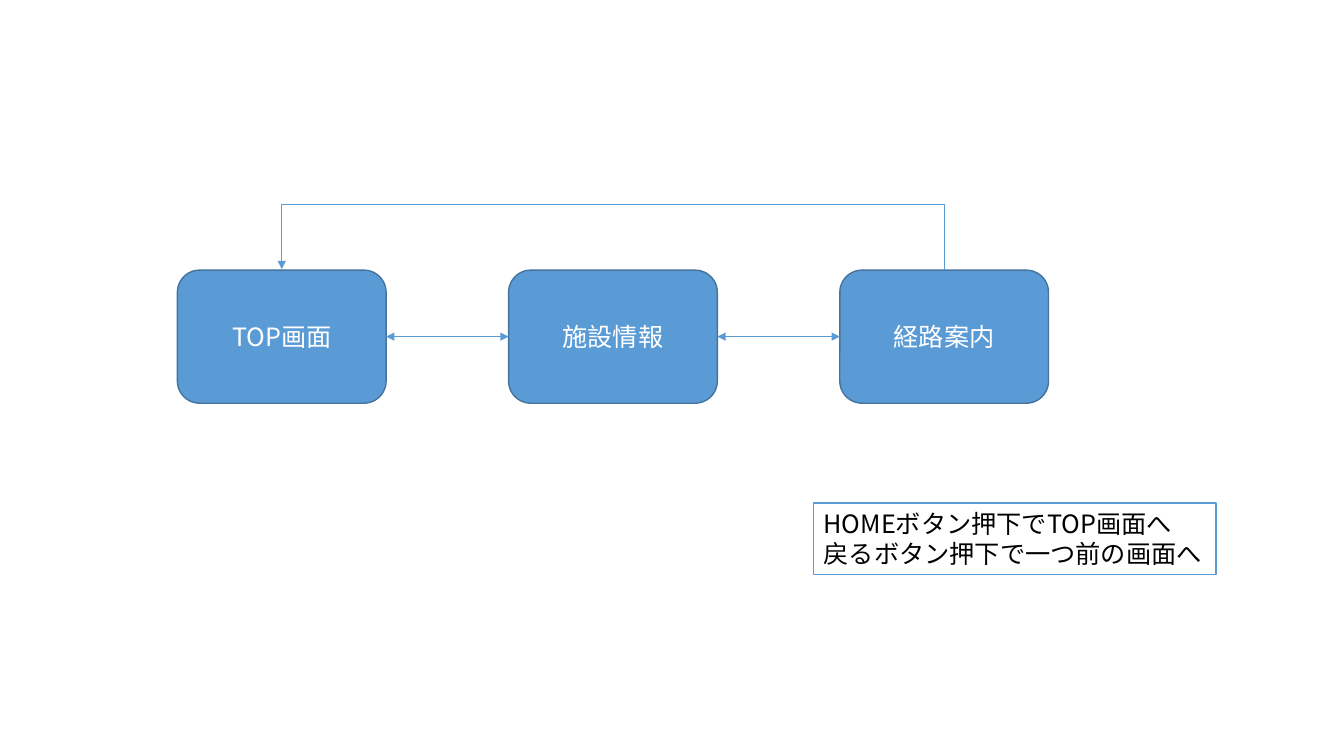
"""Build a screen transition diagram with three screens and a note."""
import pptx
import pptx.dml.color
import pptx.enum.dml
import pptx.enum.shapes
import pptx.enum.text
import pptx.oxml
import pptx.oxml.ns
import pptx.util

SCREENS = ["TOP画面", "施設情報", "経路案内"]
NOTE = ["HOMEボタン押下でTOP画面へ", "戻るボタン押下で一つ前の画面へ"]
COLORS = {"blue": "5B9BD5", "edge": "43739E", "white": "FFFFFF", "black": "000000"}
FONT = "Noto Sans CJK JP"

FIRST_LEFT, LAST_LEFT, BOX_TOP = 1.76, 8.33, 2.68
BOX_WIDTH, BOX_HEIGHT = 2.07, 1.32
NOTE_AREA = (8.07, 4.99, 3.99, 0.71)
RETURN_TOP, RETURN_DEPTH = 2.02, 0.01
TOP_SITE, LEFT_SITE, RIGHT_SITE = 0, 1, 3

Inches = pptx.util.Inches
SHAPES = pptx.enum.shapes.MSO_SHAPE
CONNECTORS = pptx.enum.shapes.MSO_CONNECTOR
ALIGN = pptx.enum.text.PP_ALIGN
ANCHOR = pptx.enum.text.MSO_ANCHOR


def color(name):
    """Return the named colour."""
    return pptx.dml.color.RGBColor.from_string(COLORS[name])


def write(box, lines, ink, align, anchor, wrap=True):
    """Write lines into one paragraph of a box."""
    frame = box.text_frame
    frame.word_wrap = wrap
    frame.vertical_anchor = anchor
    para = frame.paragraphs[0]
    para.alignment = align
    for index, line in enumerate(lines):
        if index:
            para.add_line_break()
        span = para.add_run()
        span.text = line
        span.font.size = pptx.util.Pt(18)
        span.font.name = FONT
        span.font.color.rgb = color(ink)
        east_asian = pptx.oxml.parse_xml(
            f'<a:ea {pptx.oxml.ns.nsdecls("a")} typeface="{FONT}"/>')
        span.font._element.find(pptx.oxml.ns.qn("a:latin")).addnext(east_asian)


def add_box(page, preset, area, fill, edge):
    """Add a filled and outlined shape."""
    box = page.shapes.add_shape(preset, *map(Inches, area))
    box.shadow.inherit = False
    box.fill.solid()
    box.fill.fore_color.rgb = color(fill)
    box.line.color.rgb = color(edge)
    box.line.width = pptx.util.Pt(1)
    return box


def add_arrow(page, kind, start, start_site, end, end_site, ends):
    """Join two boxes with a thin arrow."""
    arrow = page.shapes.add_connector(kind, 0, 0, 0, 0)
    arrow.begin_connect(start, start_site)
    arrow.end_connect(end, end_site)
    arrow.line.color.rgb = color("blue")
    arrow.line.width = pptx.util.Pt(0.5)
    namespace = pptx.oxml.ns.nsdecls("a")
    line = arrow.line._get_or_add_ln()
    for end_name in ends:
        line.append(pptx.oxml.parse_xml(f'<a:{end_name} {namespace} type="triangle"/>'))
    arrow._element.spPr.append(pptx.oxml.parse_xml(f"<a:effectLst {namespace}/>"))
    return arrow


def route_over(arrow, start_x, end_x):
    """Turn an elbow arrow so that it runs above the boxes."""
    span = start_x - end_x
    middle = (start_x + end_x) / 2
    arrow.width, arrow.height = Inches(RETURN_DEPTH), Inches(span)
    arrow.left = Inches(middle - RETURN_DEPTH / 2)
    arrow.top = Inches(BOX_TOP - RETURN_DEPTH / 2 - span / 2)
    frame = arrow._element.spPr.find(pptx.oxml.ns.qn("a:xfrm"))
    frame.attrib.pop("flipH", None)
    frame.set("rot", str(270 * 60000))
    frame.set("flipV", "1")
    bend = round((BOX_TOP - RETURN_TOP) / RETURN_DEPTH * 100000)
    geometry = arrow._element.spPr.find(pptx.oxml.ns.qn("a:prstGeom"))
    for old in list(geometry):
        geometry.remove(old)
    geometry.append(pptx.oxml.parse_xml(
        f'<a:avLst {pptx.oxml.ns.nsdecls("a")}><a:gd name="adj1" fmla="val {bend}"/></a:avLst>'))


def main():
    """Build and save the deck."""
    deck = pptx.Presentation()
    deck.slide_width, deck.slide_height = Inches(13.33), Inches(7.5)
    page = deck.slides.add_slide(deck.slide_layouts[6])

    note = add_box(page, SHAPES.RECTANGLE, NOTE_AREA, "white", "blue")
    write(note, NOTE, "black", ALIGN.LEFT, ANCHOR.TOP, wrap=False)

    pitch = (LAST_LEFT - FIRST_LEFT) / (len(SCREENS) - 1)
    boxes = []
    for index, name in enumerate(SCREENS):
        area = (FIRST_LEFT + index * pitch, BOX_TOP, BOX_WIDTH, BOX_HEIGHT)
        box = add_box(page, SHAPES.FLOWCHART_ALTERNATE_PROCESS, area, "blue", "edge")
        write(box, [name], "white", ALIGN.CENTER, ANCHOR.MIDDLE)
        boxes.append(box)

    for left_box, right_box in zip(boxes, boxes[1:]):
        add_arrow(page, CONNECTORS.STRAIGHT, left_box, RIGHT_SITE,
                  right_box, LEFT_SITE, ["headEnd", "tailEnd"])
    back = add_arrow(page, CONNECTORS.ELBOW, boxes[-1], TOP_SITE,
                     boxes[0], TOP_SITE, ["tailEnd"])
    route_over(back, LAST_LEFT + BOX_WIDTH / 2, FIRST_LEFT + BOX_WIDTH / 2)
    deck.save("out.pptx")


if __name__ == "__main__":
    main()
